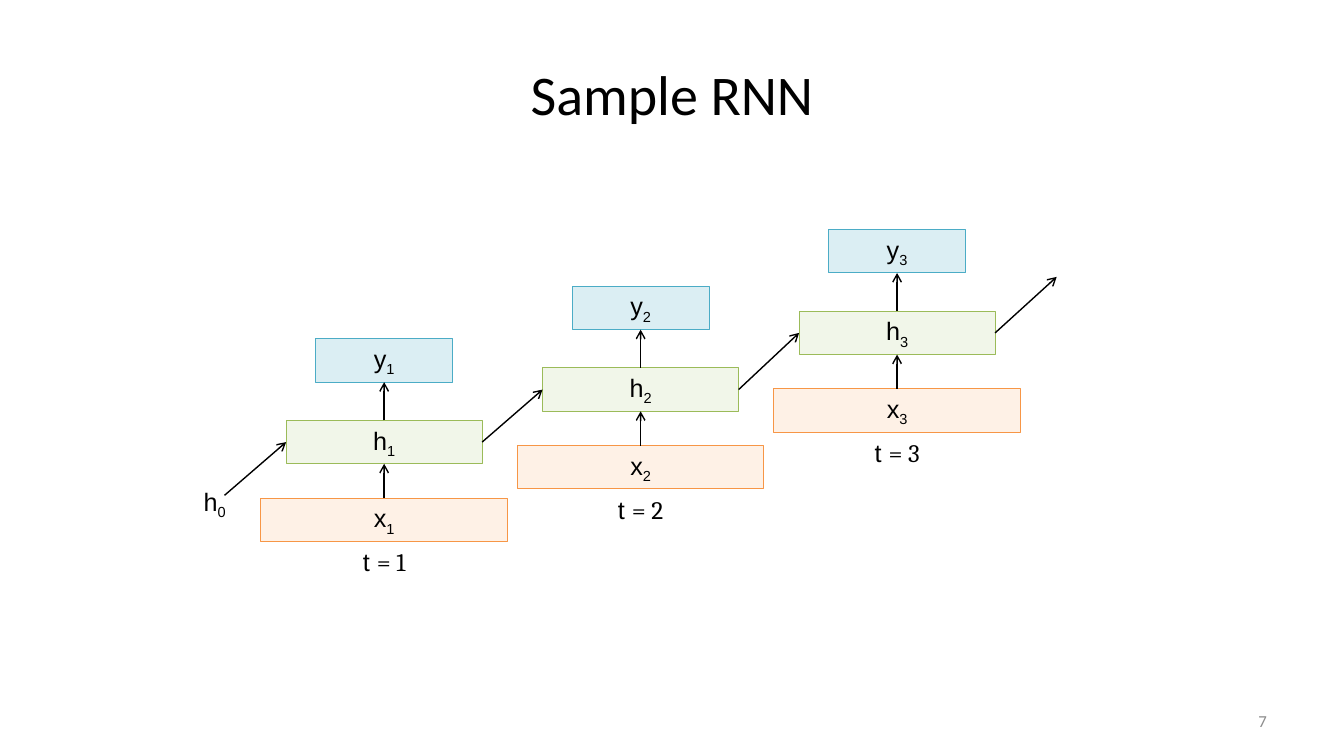
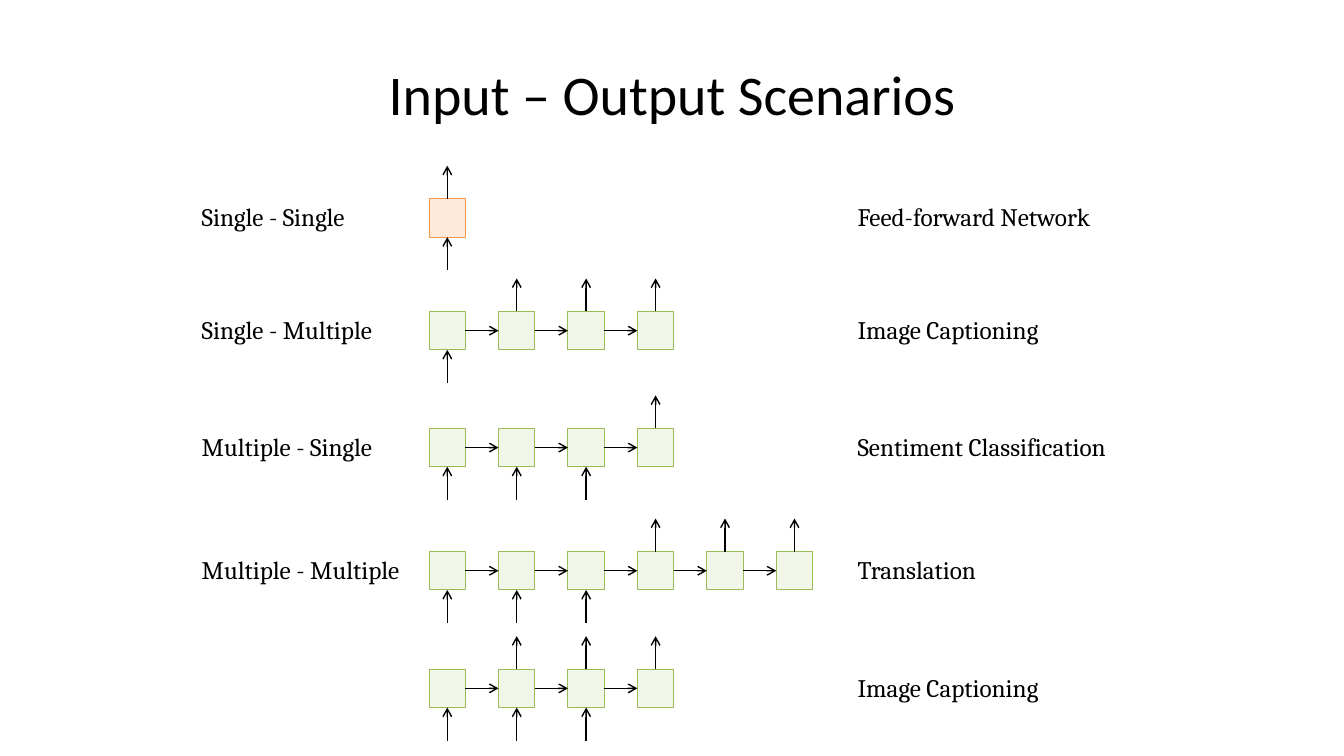
import dataclasses
import itertools

import lxml.etree
import pptx
import pptx.dml.color
import pptx.enum.shapes
import pptx.enum.text
import pptx.oxml.ns
import pptx.util

Pt = pptx.util.Pt
qn = pptx.oxml.ns.qn
Align = pptx.enum.text.PP_ALIGN
Anchor = pptx.enum.text.MSO_ANCHOR


@dataclasses.dataclass(frozen=True)
class Theme:
    """Colours as (fill, line) pairs or single values, fonts and type sizes."""
    ink: str = "000000"
    muted: str = "8C8C8C"
    hidden: tuple = ("D7E4BD", "9BBB59")
    output: tuple = ("93CDDD", "4BACC6")
    input: tuple = ("FCD5B5", "F79646")
    plain: tuple = ("FAC090", "F79646")
    fill_alpha: int = 33000
    heading: str = "Calibri"
    symbol: str = "Arial"
    label: str = "Cambria"
    title_size: int = 40
    body_size: int = 18
    number_size: int = 12
    box_line: float = 0.75
    arrow_line: float = 1


THEME = Theme()
FIRST_NUMBER = 7
CELL_WIDTH, CELL_HEIGHT = 26, 27.4
CELL_PITCH, STUB = 49.6, 23.6
BOX_HEIGHT = 31
LABEL_HEIGHT = 28.8

SCENARIOS = (
    (142, "Single - Single", "Feed-forward Network", 1, {0}, {0}, THEME.plain),
    (222.5, "Single - Multiple", "Image Captioning", 4, {0}, {1, 2, 3}, THEME.hidden),
    (306, "Multiple - Single", "Sentiment Classification", 4, {0, 1, 2}, {3}, THEME.hidden),
    (394, "Multiple - Multiple", "Translation", 6, {0, 1, 2}, {3, 4, 5}, THEME.hidden),
    (478, "", "Image Captioning", 4, {0, 1, 2}, {1, 2, 3}, THEME.hidden),
)


def rgb(value):
    """Turn a hex string into a colour."""
    return pptx.dml.color.RGBColor.from_string(value)


def style_run(run, font, size=THEME.body_size, colour=THEME.ink):
    """Set the font, size and colour of a run."""
    run.font.name = font
    run.font.size = Pt(size)
    run.font.color.rgb = rgb(colour)


def write_symbol(frame, letter, index):
    """Write a centred letter with a subscript index."""
    paragraph = frame.paragraphs[0]
    paragraph.text = letter
    paragraph.alignment = Align.CENTER
    subscript = paragraph.add_run()
    subscript.text = str(index)
    for run in paragraph.runs:
        style_run(run, THEME.symbol)
    subscript._r.get_or_add_rPr().set("baseline", "-25000")


def add_text_frame(slide, left, top, width, height=LABEL_HEIGHT, wrap=True):
    """Add a text box and return its frame."""
    frame = slide.shapes.add_textbox(Pt(left), Pt(top), Pt(width), Pt(height)).text_frame
    frame.word_wrap = wrap
    return frame


def add_label(slide, text, left, top, width):
    """Add a left-aligned line of label text."""
    frame = add_text_frame(slide, left, top, width)
    frame.text = text
    style_run(frame.paragraphs[0].runs[0], THEME.label)


def add_box(slide, left, top, width, height, colours):
    """Add a translucent outlined rectangle."""
    box = slide.shapes.add_shape(pptx.enum.shapes.MSO_SHAPE.RECTANGLE,
                                 Pt(left), Pt(top), Pt(width), Pt(height))
    fill, line = colours
    box.shadow.inherit = False
    box.fill.solid()
    box.fill.fore_color.rgb = rgb(fill)
    tint = box._element.spPr.find(qn("a:solidFill"))[0]
    lxml.etree.SubElement(tint, qn("a:alpha")).set("val", str(THEME.fill_alpha))
    box.line.color.rgb = rgb(line)
    box.line.width = Pt(THEME.box_line)
    return box


def add_arrow(slide, start, end):
    """Draw an open-headed arrow between two points."""
    arrow = slide.shapes.add_connector(pptx.enum.shapes.MSO_CONNECTOR.STRAIGHT,
                                       *(Pt(value) for value in (*start, *end)))
    arrow.line.color.rgb = rgb(THEME.ink)
    arrow.line.width = Pt(THEME.arrow_line)
    properties = arrow._element.spPr
    lxml.etree.SubElement(properties.find(qn("a:ln")), qn("a:tailEnd")).set("type", "arrow")
    lxml.etree.SubElement(properties, qn("a:effectLst"))


def add_titled_slide(deck, text, left, width):
    """Add a slide with a centred title."""
    slide = deck.slides.add_slide(deck.slide_layouts[5])
    title = slide.shapes.title
    title.left, title.top, title.width, title.height = Pt(left), Pt(21.6), Pt(width), Pt(90)
    title.text_frame.text = text
    title.text_frame.vertical_anchor = Anchor.MIDDLE
    paragraph = title.text_frame.paragraphs[0]
    paragraph.alignment = Align.CENTER
    style_run(paragraph.runs[0], THEME.heading, THEME.title_size)
    return slide


def add_slide_number(slide, left, top, width, height):
    """Add a right-aligned slide number field."""
    frame = add_text_frame(slide, left, top, width, height)
    frame.vertical_anchor = Anchor.MIDDLE
    frame.text = str(FIRST_NUMBER)
    paragraph = frame.paragraphs[0]
    paragraph.alignment = Align.RIGHT
    number = paragraph.runs[0]
    style_run(number, THEME.heading, THEME.number_size, THEME.muted)
    field = number._r
    field.tag = qn("a:fld")
    field.set("id", "{B6F15528-21DE-4FAA-801E-634DDDAF4B2B}")
    field.set("type", "slidenum")


def add_time_step(slide, step, centre, top):
    """Stack output, hidden and input boxes; return the hidden box's side points."""
    layers = (("h", 58.3, 140, THEME.hidden), ("y", 0, 98, THEME.output),
              ("x", 113.8, 176, THEME.input))
    tops = {}
    for letter, offset, width, colours in layers:
        tops[letter] = top + offset
        box = add_box(slide, centre - width / 2, tops[letter], width, BOX_HEIGHT, colours)
        box.text_frame.vertical_anchor = Anchor.MIDDLE
        write_symbol(box.text_frame, letter, step)
    for lower, upper in ("xh", "hy"):
        add_arrow(slide, (centre, tops[lower]), (centre, tops[upper] + BOX_HEIGHT))

    frame = add_text_frame(slide, centre - 24, tops["x"] + BOX_HEIGHT, 48, wrap=False)
    paragraph = frame.paragraphs[0]
    paragraph.text = "t "
    paragraph.alignment = Align.CENTER
    paragraph.add_run().text = f"= {step}"
    for run, font in zip(paragraph.runs, (THEME.symbol, THEME.label)):
        style_run(run, font)
    middle = tops["h"] + BOX_HEIGHT / 2
    return (centre - 70, middle), (centre + 70, middle)


def build_sample_rnn(deck):
    """Build the slide with an unrolled network of three steps."""
    slide = add_titled_slide(deck, "Sample RNN", 48, 864)
    add_slide_number(slide, 688, 500.5, 224, 28.8)
    sides = [add_time_step(slide, step, 274.4 + (step - 1) * 183.2, top)
             for step, top in enumerate((242, 204.5, 164), 1)]
    for (_, start), (end, _) in itertools.pairwise(sides):
        add_arrow(slide, start, end)
    (first_x, first_y), (last_x, last_y) = sides[0][0], sides[-1][1]
    initial = (first_x - 44, first_y + 38)
    add_arrow(slide, initial, (first_x, first_y))
    add_arrow(slide, (last_x, last_y), (last_x + 44, last_y - 40))
    write_symbol(add_text_frame(slide, initial[0] - 22, initial[1] - 10, 30, wrap=False), "h", 0)


def add_cell_chain(slide, left, top, count, inputs, outputs, colours):
    """Draw a row of linked cells with input and output arrows."""
    middle, bottom = top + CELL_HEIGHT / 2, top + CELL_HEIGHT
    for index in range(count):
        cell_left = left + index * CELL_PITCH
        centre = cell_left + CELL_WIDTH / 2
        add_box(slide, cell_left, top, CELL_WIDTH, CELL_HEIGHT, colours)
        if index:
            add_arrow(slide, (cell_left - STUB, middle), (cell_left, middle))
        if index in inputs:
            add_arrow(slide, (centre, bottom + STUB), (centre, bottom))
        if index in outputs:
            add_arrow(slide, (centre, top), (centre, top - STUB))


def build_scenarios(deck):
    """Build the slide that pairs input-output patterns with uses."""
    slide = add_titled_slide(deck, "Input – Output Scenarios", 156, 648)
    for top, pattern, use, *chain in SCENARIOS:
        add_cell_chain(slide, 306.5, top, *chain)
        if pattern:
            add_label(slide, pattern, 137, top - 1.4, 170)
        add_label(slide, use, 605.5, top - 1.4, 235)


def main():
    """Build and save the presentation."""
    deck = pptx.Presentation()
    deck.slide_width, deck.slide_height = Pt(960), Pt(540)
    deck.element.set("firstSlideNum", str(FIRST_NUMBER))
    build_sample_rnn(deck)
    build_scenarios(deck)
    deck.save("out.pptx")


if __name__ == "__main__":
    main()
